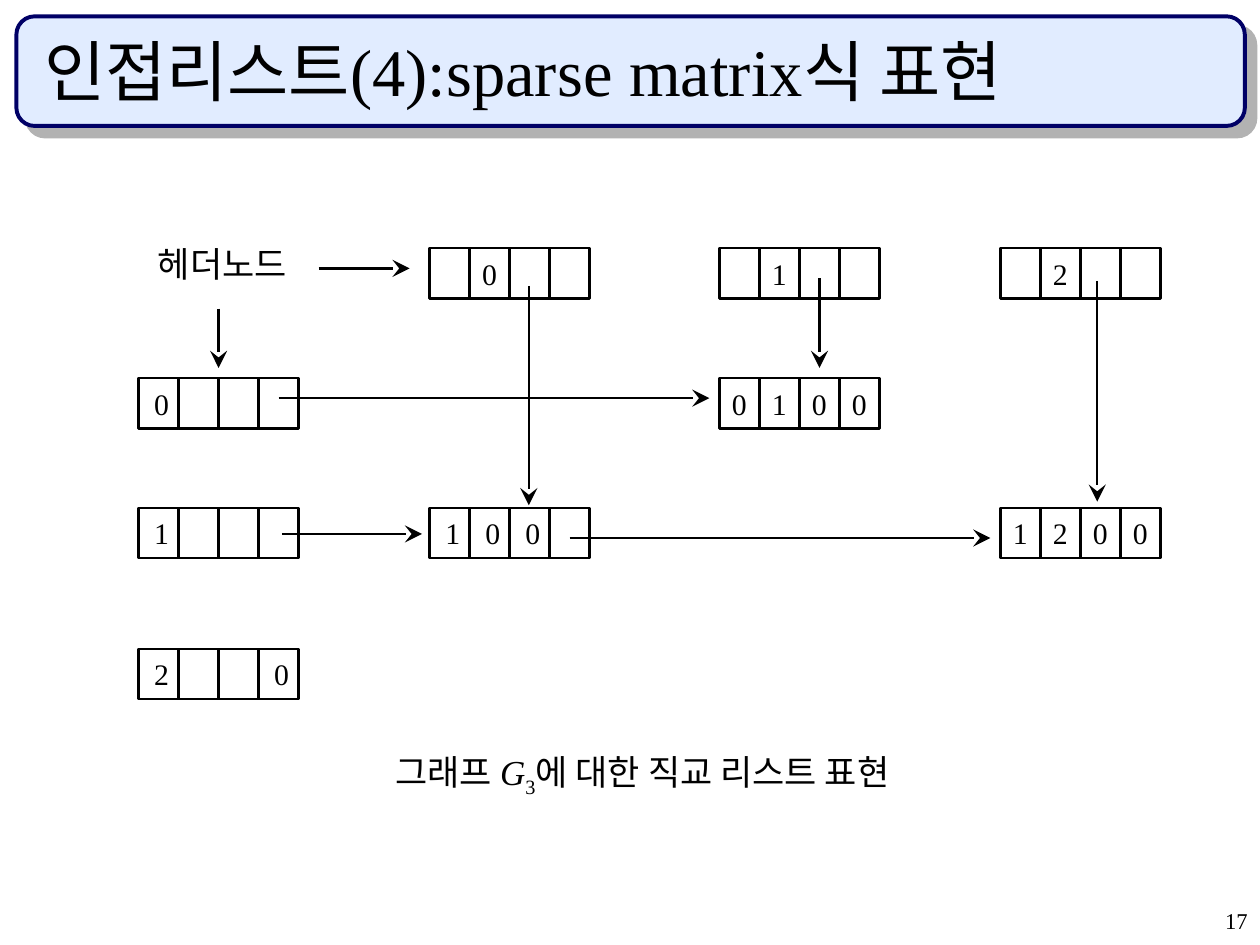
from dataclasses import dataclass
from lxml.etree import SubElement
from pptx import Presentation
from pptx.dml.color import RGBColor
from pptx.enum.shapes import MSO_CONNECTOR, MSO_SHAPE
from pptx.enum.text import MSO_ANCHOR, MSO_AUTO_SIZE, PP_ALIGN
from pptx.oxml.ns import qn
from pptx.util import Inches, Pt


@dataclass(frozen=True)
class Theme:
    ink: str = "000000"
    banner: str = "E1ECFF"
    border: str = "000066"
    shadow: str = "B2B2B2"
    latin: str = "Times New Roman"
    korean: str = "Noto Sans CJK KR"
    title: float = 38
    label: float = 20
    cell: float = 17
    number: float = 12.9
    line: float = 1.39
    frame: float = 2.25


T = Theme()
SLIDE_W, SLIDE_H = 10, 7.5

TITLE = "인접리스트(4):sparse matrix식 표현"
CAPTION = [("그래프 ", {}), ("G", {"italic": True}), ("3", {"base": -25}),
           ("에 대한 직교 리스트 표현", {})]
HEADER_LABEL = "헤더노드"
PAGE = "17"

COLS = [1.1, 3.41, 5.71, 7.94]
ROWS = [1.97, 3.0, 4.03, 5.15]
CELL_W, CELL_H = 1.27 / 4, 0.4

# column, row, contents of the four cells, left inset of the digits
NODES = [
    (3, 0, [" ", "2", " ", " "], 0),
    (2, 0, [" ", "1", " ", " "], 0),
    (1, 0, [" ", "0", " ", " "], 0),
    (0, 1, ["0", " ", " ", " "], 0.05),
    (2, 1, ["0", "1", "0", "0"], 0),
    (0, 2, ["1", " ", " ", " "], 0.05),
    (1, 2, ["1", "0", "0", " "], 0.05),
    (3, 2, ["1", "2", "0", "0"], 0),
    (0, 3, ["2", " ", " ", "0"], 0.05),
]

# each end: column, row, then offset from that node in cell widths and heights
LINKS = [
    ((0, 0, 4.5, 0.4), (1, 0, -0.5, 0.4)),
    ((0, 1, 3.5, 0.4), (2, 1, -0.25, 0.4)),
    ((0, 2, 3.58, 0.52), (1, 2, -0.19, 0.52)),
    ((1, 2, 3.5, 0.6), (3, 2, -0.25, 0.6)),
    ((2, 0, 2.5, 0.6), (2, 1, 2.5, -0.2)),
    ((3, 0, 2.42, 0.65), (3, 2, 2.42, -0.12)),
    ((0, 0, 2, 1.2), (0, 1, 2, -0.2)),
    ((1, 0, 2.48, 0.75), (1, 2, 2.48, -0.05)),
]


def grid(col, row, dx=0, dy=0):
    return Inches(COLS[col] + dx * CELL_W), Inches(ROWS[row] + dy * CELL_H)


def write(sp, runs, size, align=PP_ALIGN.LEFT, anchor=MSO_ANCHOR.TOP,
          inset=(0.1, 0.05, 0.1, 0.05), wrap=True, spacing=None, before=None):
    tf = sp.text_frame
    tf.auto_size = MSO_AUTO_SIZE.NONE
    tf.word_wrap = wrap
    tf.vertical_anchor = anchor
    tf.margin_left, tf.margin_top, tf.margin_right, tf.margin_bottom = map(Inches, inset)
    p = tf.paragraphs[0]
    p.alignment = align
    if spacing:
        p.line_spacing = spacing
    if before:
        p.space_before = Pt(before)
    for text, style in [(runs, {})] if isinstance(runs, str) else runs:
        r = p.add_run()
        r.text = text
        r.font.size = Pt(size)
        r.font.name = T.latin
        r.font.italic = style.get("italic", False)
        r.font.color.rgb = RGBColor.from_string(T.ink)
        rpr = r.font._element
        SubElement(rpr, qn("a:ea")).set("typeface", T.korean)
        if "base" in style:
            rpr.set("baseline", str(style["base"] * 1000))


def add_text(s, box, runs, size, **fmt):
    sp = s.shapes.add_textbox(*map(Inches, box))
    write(sp, runs, size, **fmt)


def add_banner(s):
    sp = s.shapes.add_shape(MSO_SHAPE.ROUNDED_RECTANGLE,
                            *map(Inches, (0.13, 0.13, 9.75, 0.87)))
    sp.fill.solid()
    sp.fill.fore_color.rgb = RGBColor.from_string(T.banner)
    sp.line.color.rgb = RGBColor.from_string(T.border)
    sp.line.width = Pt(T.frame)
    sp.shadow.inherit = False
    effects = sp._element.spPr.find(qn("a:effectLst"))
    shadow = SubElement(effects, qn("a:outerShdw"), dist=str(Pt(8.5)),
                        dir=str(45 * 60000), algn="ctr", rotWithShape="0")
    SubElement(shadow, qn("a:srgbClr"), val=T.shadow)
    s.shapes._spTree.insert(2, sp._element)


def add_node(s, col, row, values, nudge):
    for i, value in enumerate(values):
        sp = s.shapes.add_shape(MSO_SHAPE.RECTANGLE, *grid(col, row, i),
                                Inches(CELL_W), Inches(CELL_H))
        sp.fill.background()
        sp.line.color.rgb = RGBColor.from_string(T.ink)
        sp.line.width = Pt(T.line)
        sp.shadow.inherit = False
        if value.strip():
            write(sp, value, T.cell, align=PP_ALIGN.CENTER,
                  anchor=MSO_ANCHOR.MIDDLE, inset=(nudge, 0, 0, 0), wrap=False)


def add_arrow(s, start, end):
    c = s.shapes.add_connector(MSO_CONNECTOR.STRAIGHT, *grid(*start), *grid(*end))
    c.line.color.rgb = RGBColor.from_string(T.ink)
    c.line.width = Pt(T.line)
    SubElement(c.line._get_or_add_ln(), qn("a:tailEnd"),
               type="stealth", w="lg", len="lg")
    SubElement(c._element.spPr, qn("a:effectLst"))


def main():
    prs = Presentation()
    prs.slide_width, prs.slide_height = Inches(SLIDE_W), Inches(SLIDE_H)
    s = prs.slides.add_slide(prs.slide_layouts[5])

    title = s.shapes.title
    title.left, title.top, title.width, title.height = map(Inches, (0.25, 0.25, 9.42, 0.67))
    write(title, TITLE, T.title, anchor=MSO_ANCHOR.BOTTOM)
    add_banner(s)

    add_text(s, (7.92, 7.17, 2.08, 0.33), PAGE, T.number,
             align=PP_ALIGN.RIGHT, spacing=0.9, before=8.8)
    add_text(s, (3.04, 5.91, 4.33, 0.48), CAPTION, T.label, wrap=False)
    for node in NODES:
        add_node(s, *node)
    add_text(s, (1.25, 1.99, 1.03, 0.27), HEADER_LABEL, T.label, align=PP_ALIGN.CENTER,
             inset=(0, 0, 0, 0), wrap=False, spacing=0.8, before=5)
    for link in LINKS:
        add_arrow(s, *link)

    prs.save("out.pptx")


if __name__ == "__main__":
    main()
